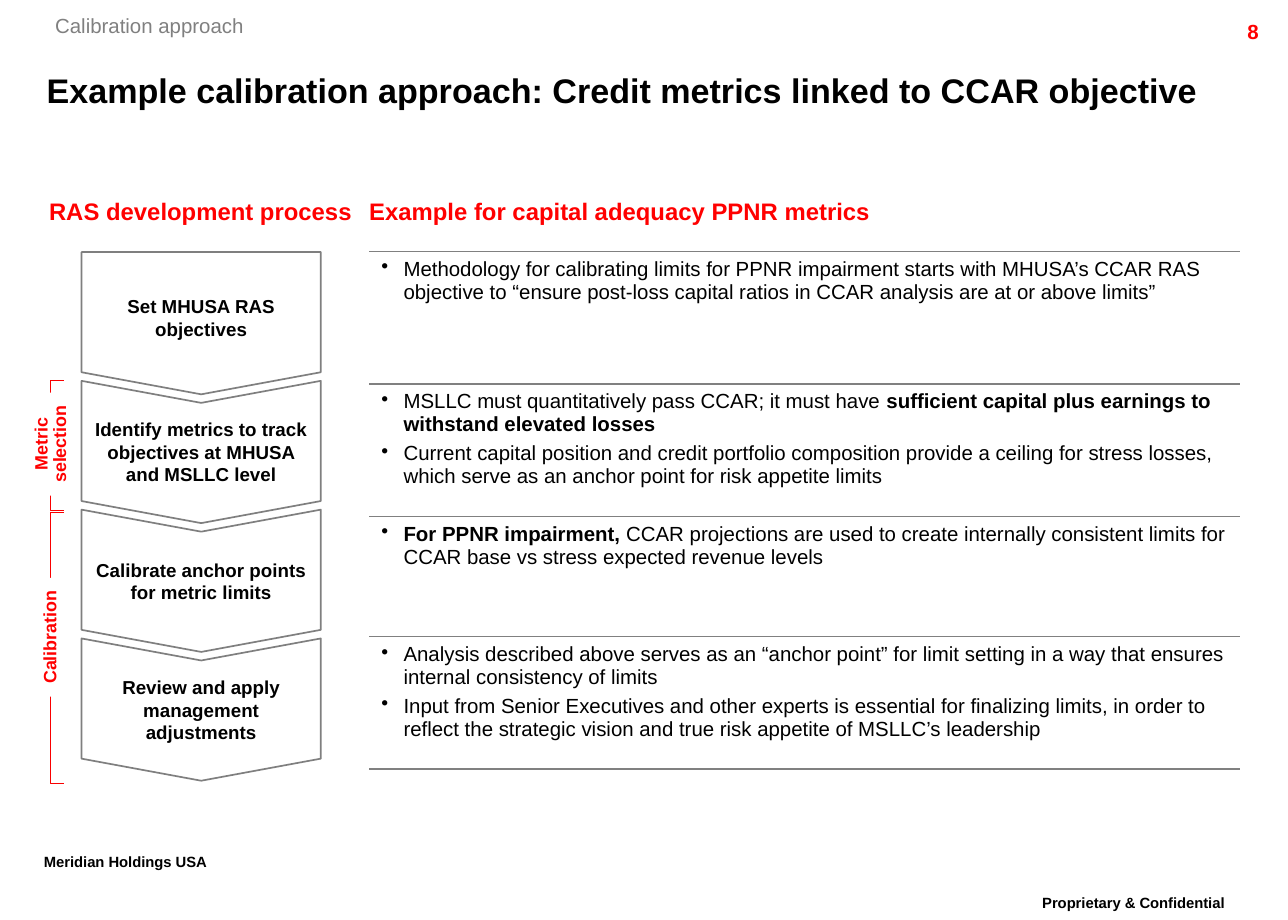
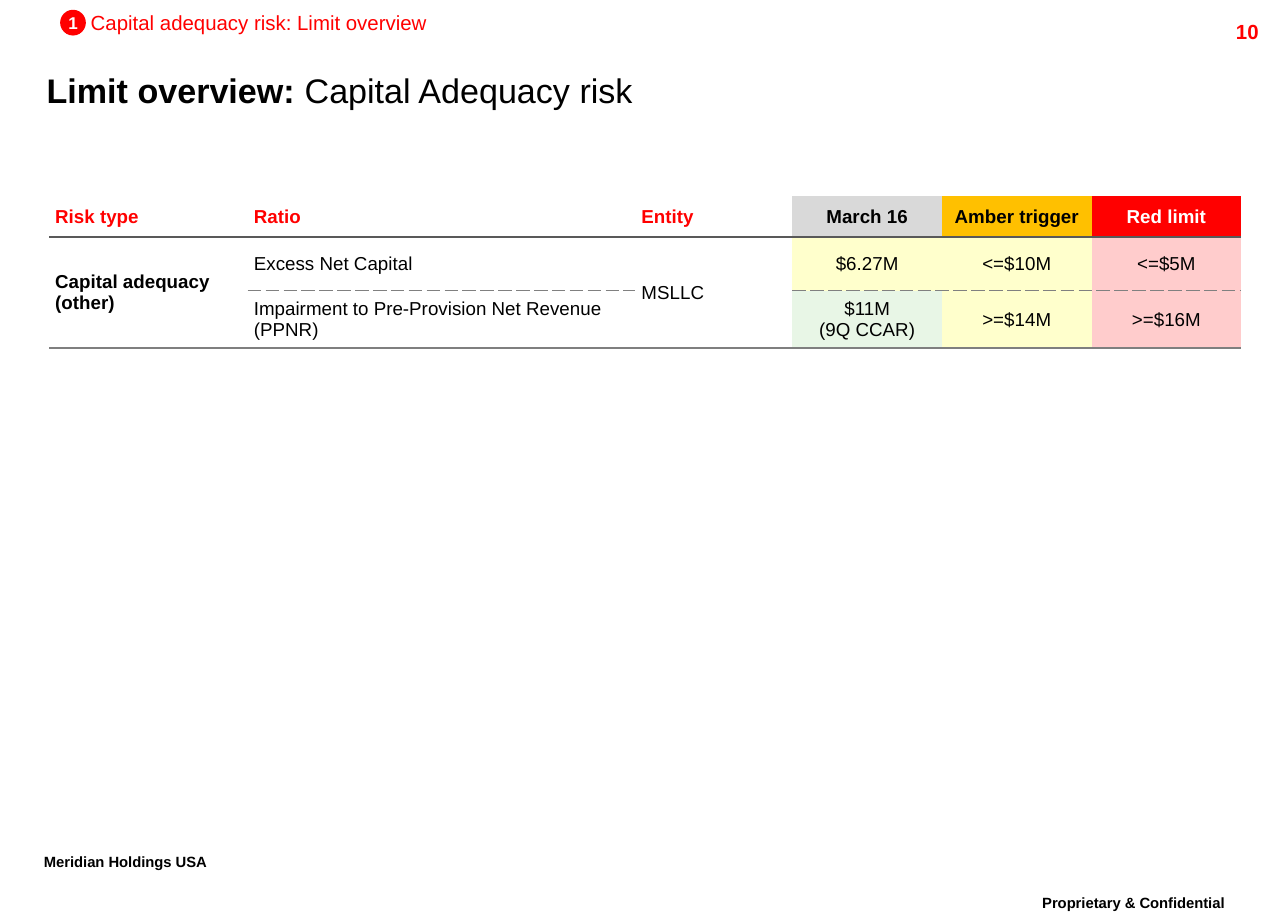
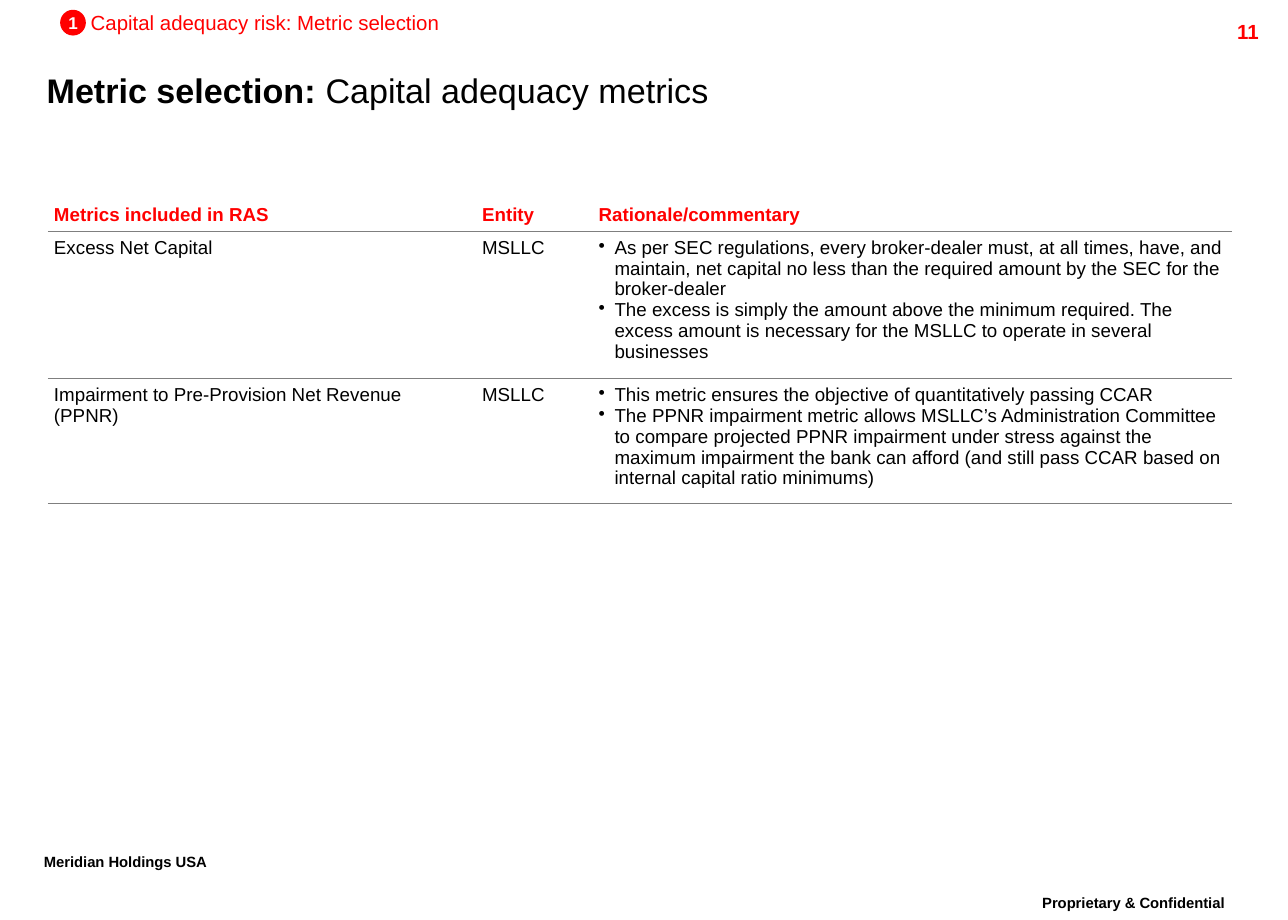
from lxml.etree import SubElement
from pptx import Presentation
from pptx.dml.color import RGBColor
from pptx.enum.shapes import MSO_SHAPE as Shape
from pptx.enum.text import MSO_ANCHOR as Anchor, PP_ALIGN as Align
from pptx.oxml.ns import qn
from pptx.util import Inches, Pt

BLACK = RGBColor(0x00, 0x00, 0x00)
WHITE = RGBColor(0xFF, 0xFF, 0xFF)
RED = RGBColor(0xFF, 0x00, 0x00)
BRACKET_RED = RGBColor(0xF9, 0x00, 0x00)
GRAY = RGBColor(0x80, 0x80, 0x80)
OUTLINE = RGBColor(0x7F, 0x7F, 0x7F)
DARK_GRAY = RGBColor(0x59, 0x59, 0x59)
LIGHT_GRAY = RGBColor(0xD9, 0xD9, 0xD9)
AMBER = RGBColor(0xFF, 0xC0, 0x00)
PALE_YELLOW = RGBColor(0xFF, 0xFF, 0xCC)
PALE_RED = RGBColor(0xFF, 0xCC, 0xCC)
PALE_GREEN = RGBColor(0xE8, 0xF6, 0xE6)

FONT = "Arial"
NO_GRID = "{2D5ABB26-0587-4C30-8999-92F81FD0307C}"
SIDES = ("margin_left", "margin_top", "margin_right", "margin_bottom")
FLUSH = {"word_wrap": True, **dict.fromkeys(SIDES, 0)}
TITLE = {**FLUSH, "vertical_anchor": Anchor.MIDDLE}
BADGE = {**TITLE, "word_wrap": False}
STEP = {"word_wrap": True, "vertical_anchor": Anchor.MIDDLE, **dict.fromkeys(SIDES, Inches(0.08))}
LABEL = {"word_wrap": False, "vertical_anchor": Anchor.TOP}
WRAP = {"word_wrap": True}
CELL = dict.fromkeys(SIDES, Inches(0.05))
CENTER = {"alignment": Align.CENTER}
TIGHT = {"line_spacing": 0.86}


def write(frame, texts, size, color, bold=False, frame_format={}, para_format={}, indent=0, gap=0, baseline=0):
    for name, value in frame_format.items():
        setattr(frame, name, value)
    for index, text in enumerate(texts):
        para = frame.add_paragraph() if index else frame.paragraphs[0]
        for name, value in para_format.items():
            setattr(para, name, value)
        if index and gap:
            para.space_before = Pt(gap)
        if indent:
            properties = para._p.get_or_add_pPr()
            properties.set("marL", str(Inches(indent)))
            properties.set("indent", str(-Inches(indent)))
            SubElement(properties, qn("a:buChar")).set("char", "•")
        for position, piece in enumerate(text.split("*")):
            if not piece:
                continue
            span = para.add_run()
            span.text = piece
            for name, value in {"name": FONT, "size": Pt(size), "bold": bold or position % 2 == 1}.items():
                setattr(span.font, name, value)
            span.font.color.rgb = color
            if baseline:
                span._r.get_or_add_rPr().set("baseline", str(baseline))


def draw_edges(cell, top, bottom):
    properties = cell._tc.get_or_add_tcPr()
    for tag, edge in (("a:lnT", top), ("a:lnB", bottom)):
        if edge:
            color, width, dash = edge
            line = SubElement(properties, qn(tag), w=str(Pt(width)))
            fill = SubElement(line, qn("a:solidFill"))
            SubElement(fill, qn("a:srgbClr"), val=str(color))
            SubElement(line, qn("a:prstDash"), val=dash)


deck = Presentation()
deck.slide_width = Inches(10.5)
deck.slide_height = Inches(7.5)

pages = []
for number, title, section, numbered in (
    (8, "*Example calibration approach: Credit metrics linked to CCAR objective*", "Calibration approach", False),
    (10, "*Limit overview: *Capital Adequacy risk", "Capital adequacy risk: Limit overview", True),
    (11, "*Metric selection: *Capital adequacy metrics", "Capital adequacy risk: Metric selection", True),
):
    page = deck.slides.add_slide(deck.slide_layouts[6])
    pages.append(page)
    left, top, color = (0.74, 0.08, RED) if numbered else (0.45, 0.11, GRAY)
    for place, text, size, ink, bold, frame_format, para_format, baseline in (
        ((8.15, 7.25, 2.18, 0.35), "Proprietary & Confidential", 15, BLACK, True, WRAP, {**CENTER, **TIGHT}, 30000),
        ((0.26, 6.91, 1.91, 0.35), "Meridian Holdings USA", 15, BLACK, True, WRAP, TIGHT, 30000),
        ((9.36, 0.11, 1, 0.24), str(number), 12, RED, True, WRAP, {"alignment": Align.RIGHT}, 0),
        ((0.38, 0.49, 9.48, 0.48), title, 20, BLACK, False, TITLE, {}, 0),
        ((left, top, 3.5, 0.2), section, 12, color, False, FLUSH, {}, 0),
    ):
        box = page.shapes.add_textbox(*map(Inches, place))
        write(box.text_frame, [text], size, ink, bold, frame_format, para_format, baseline=baseline)
    if numbered:
        badge = page.shapes.add_shape(Shape.OVAL, Inches(0.49), Inches(0.08), Inches(0.21), Inches(0.21))
        badge.shadow.inherit = False
        badge.fill.solid()
        badge.fill.fore_color.rgb = RED
        badge.line.fill.background()
        write(badge.text_frame, ["1"], 10, WHITE, True, BADGE, CENTER)

tables = []
for page, place, widths, heights in (
    (pages[0], (3.01, 2.05), (7.1,), (1.08, 1.08, 0.98, 1.08)),
    (pages[1], (0.4, 1.6), (1.62, 3.16, 1.28, 1.22, 1.22, 1.22), (0.33, 0.44, 0.47)),
    (pages[2], (0.39, 1.6), (3.49, 0.95, 5.21), (0.28, 1.2, 1.01)),
):
    size = (sum(widths), sum(heights))
    table = page.shapes.add_table(len(heights), len(widths), *map(Inches, place + size)).table
    table.first_row = table.horz_banding = False
    table._tbl.tblPr.find(qn("a:tableStyleId")).text = NO_GRID
    for column, width in zip(table.columns, widths):
        column.width = Inches(width)
    for row, height in zip(table.rows, heights):
        row.height = Inches(height)
    tables.append(table)
process_table, limit_table, metric_table = tables

page = pages[0]
for left, width, heading in (
    (0.4, 2.6, "RAS development process"),
    (3.01, 6, "Example for capital adequacy PPNR metrics"),
):
    box = page.shapes.add_textbox(Inches(left), Inches(1.6), Inches(width), Inches(0.45))
    write(box.text_frame, [heading], 14, RED, True, FLUSH)

process = (
    ("Set MHUSA RAS objectives", [
        "Methodology for calibrating limits for PPNR impairment starts with MHUSA’s CCAR RAS objective to "
        "“ensure post-loss capital ratios in CCAR analysis are at or above limits”",
    ]),
    ("Identify metrics to track objectives at MHUSA and MSLLC level", [
        "MSLLC must quantitatively pass CCAR; it must have "
        "*sufficient capital plus earnings to withstand elevated losses*",
        "Current capital position and credit portfolio composition provide a ceiling for stress losses, "
        "which serve as an anchor point for risk appetite limits",
    ]),
    ("Calibrate anchor points for metric limits", [
        "*For PPNR impairment, *CCAR projections are used to create internally consistent limits for "
        "CCAR base vs stress expected revenue levels",
    ]),
    ("Review and apply management adjustments", [
        "Analysis described above serves as an “anchor point” for limit setting in a way that ensures "
        "internal consistency of limits",
        "Input from Senior Executives and other experts is essential for finalizing limits, in order to "
        "reflect the strategic vision and true risk appetite of MSLLC’s leadership",
    ]),
)
rule = (GRAY, 1, "solid")
for index, (name, points) in enumerate(process):
    kind = Shape.CHEVRON if index else Shape.PENTAGON
    step = page.shapes.add_shape(kind, Inches(1.06), Inches(1.66 + 1.05 * index), Inches(1.16), Inches(1.95))
    step.rotation = 90
    step.adjustments[0] = 0.155
    step.shadow.inherit = False
    step.fill.solid()
    step.fill.fore_color.rgb = WHITE
    step.line.color.rgb = OUTLINE
    step.line.width = Pt(1)
    write(step.text_frame, [name], 11, BLACK, True, STEP, CENTER)
    body = step.text_frame._txBody.bodyPr
    body.set("vert", "vert")
    body.set("rot", "10800000")
    cell = process_table.cell(index, 0)
    draw_edges(cell, rule, rule)
    cell.fill.background()
    write(cell.text_frame, points, 12, BLACK, indent=0.18, gap=3.6)

for top, height, label_place, lines in (
    (4.18, 2.21, (-0.07, 5.07, 0.97, 0.25), ["Calibration"]),
    (3.1, 1.06, (0, 3.42, 0.84, 0.4), ["Metric", "selection"]),
):
    bracket = page.shapes.add_shape(Shape.LEFT_BRACKET, Inches(0.41), Inches(top), Inches(0.11), Inches(height))
    bracket.adjustments[0] = 0
    bracket.shadow.inherit = False
    bracket.fill.background()
    bracket.line.color.rgb = BRACKET_RED
    bracket.line.width = Pt(0.75)
    label = page.shapes.add_shape(Shape.RECTANGLE, *map(Inches, label_place))
    label.rotation = 270
    label.shadow.inherit = False
    label.fill.solid()
    label.fill.fore_color.rgb = WHITE
    label.line.fill.background()
    write(label.text_frame, lines, 10.5, RED, True, LABEL, {**CENTER, **TIGHT})

limit_rows = (
    (["Risk type"], ["Ratio"], ["Entity"], ["March 16"], ["Amber trigger"], ["Red limit"]),
    (["Capital adequacy (other)"], ["Excess Net Capital"], ["MSLLC"], ["$6.27M"], ["<=$10M"], ["<=$5M"]),
    ([], ["Impairment to Pre-Provision Net Revenue (PPNR)"], [], ["$11M", "(9Q CCAR)"], [">=$14M"], [">=$16M"]),
)
limit_fills = (
    (LIGHT_GRAY, AMBER, RED),
    (PALE_YELLOW, PALE_YELLOW, PALE_RED),
    (PALE_GREEN, PALE_YELLOW, PALE_RED),
)
header_inks = (RED, RED, RED, BLACK, BLACK, WHITE)
header_rule = (DARK_GRAY, 1.5, "solid")
end_rule = (OUTLINE, 1.5, "solid")
dashed_rule = (GRAY, 1, "sysDash")
merged = (0, 2)
for column in merged:
    limit_table.cell(1, column).merge(limit_table.cell(2, column))
for row, texts in enumerate(limit_rows):
    for column, lines in enumerate(texts):
        cell = limit_table.cell(row, column)
        spans = column in merged
        tops = (None, header_rule, None if spans else dashed_rule)
        bottoms = (header_rule, end_rule if spans else dashed_rule, end_rule)
        draw_edges(cell, tops[row], bottoms[row])
        for name, value in {**CELL, "vertical_anchor": Anchor.MIDDLE}.items():
            setattr(cell, name, value)
        if column > 2:
            cell.fill.solid()
            cell.fill.fore_color.rgb = limit_fills[row][column - 3]
        else:
            cell.fill.background()
        ink = BLACK if row else header_inks[column]
        bold = row == 0 or column == 0
        write(cell.text_frame, lines, 11, ink, bold, para_format=CENTER if column > 2 else {})

metric_rows = (
    (["Metrics included in RAS"], ["Entity"], ["Rationale/commentary"]),
    (["Excess Net Capital"], ["MSLLC"], [
        "As per SEC regulations, every broker-dealer must, at all times, have, and maintain, net capital "
        "no less than the required amount by the SEC for the broker-dealer",
        "The excess is simply the amount above the minimum required. The excess amount is necessary for "
        "the MSLLC to operate in several businesses",
    ]),
    (["Impairment to Pre-Provision Net Revenue (PPNR)"], ["MSLLC"], [
        "This metric ensures the objective of quantitatively passing CCAR",
        "The PPNR impairment metric allows MSLLC’s Administration Committee to compare projected PPNR "
        "impairment under stress against the maximum impairment the bank can afford (and still pass CCAR "
        "based on internal capital ratio minimums)",
    ]),
)
thin_rule = (OUTLINE, 0.75, "solid")
for row, texts in enumerate(metric_rows):
    for column, lines in enumerate(texts):
        cell = metric_table.cell(row, column)
        draw_edges(cell, thin_rule if row else None, thin_rule)
        for name, value in {**CELL, "vertical_anchor": Anchor.TOP if row else Anchor.BOTTOM}.items():
            setattr(cell, name, value)
        cell.fill.solid()
        cell.fill.fore_color.rgb = WHITE
        indent = 0.13 if row and column == 2 else 0
        write(cell.text_frame, lines, 11, BLACK if row else RED, row == 0, indent=indent)

deck.save("out.pptx")
